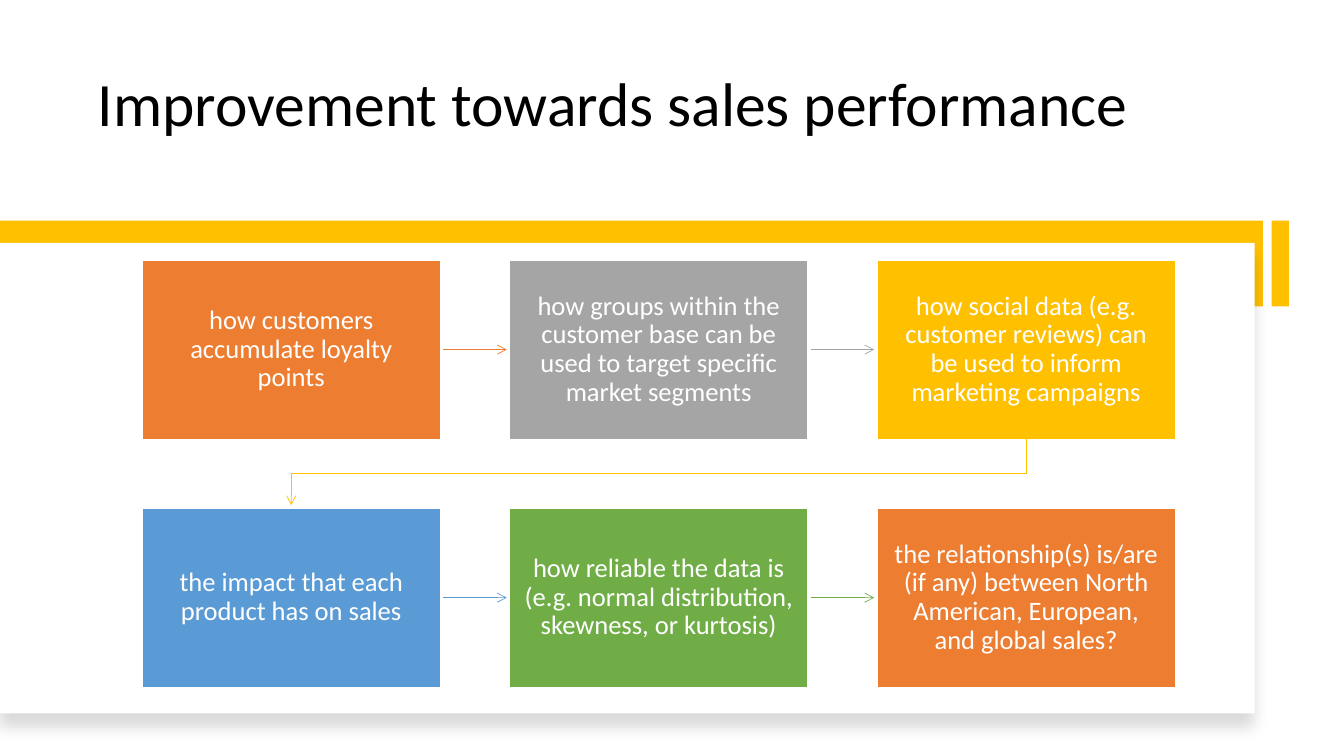
from pptx import Presentation
from pptx.util import Cm, Pt
from pptx.dml.color import RGBColor
from pptx.enum import shapes, text
from pptx.oxml import parse_xml
from pptx.oxml.ns import nsdecls

TITLE = "Improvement towards sales performance"
STEPS = [
    ("how customers accumulate loyalty points", "orange"),
    ("how groups within the customer base can be used to target specific market segments", "gray"),
    ("how social data (e.g. customer reviews) can be used to inform marketing campaigns", "gold"),
    ("the impact that each product has on sales", "blue"),
    ("how reliable the data is (e.g. normal distribution, skewness, or kurtosis)", "green"),
    ("the relationship(s) is/are (if any) between North American, European, and global sales?", "orange"),
]
COLORS = {"orange": "ED7D31", "gray": "A5A5A5", "gold": "FFC000", "blue": "5B9BD5",
          "green": "70AD47", "white": "FFFFFF", "black": "000000"}
FONT = "Calibri"
COLS = 3
LEFT, TOP = 3.58, 6.55
WIDTH, HEIGHT = 7.52, 4.52
STEP_X, STEP_Y = 9.26, 6.25
GAP = 0.07


def color(name):
    return RGBColor.from_string(COLORS[name])


def block(slide, x, y, w, h, fill):
    shape = slide.shapes.add_shape(shapes.MSO_SHAPE.RECTANGLE, Cm(x), Cm(y), Cm(w), Cm(h))
    shape.shadow.inherit = False
    shape.fill.solid()
    shape.fill.fore_color.rgb = color(fill)
    shape.line.fill.background()
    return shape


def style(para, size, name):
    para.line_spacing = 0.9
    para.font.size = Pt(size)
    para.font.name = FONT
    para.font.color.rgb = color(name)


def arrow(slide, points, name):
    """Draw a thin arrow through the points, given in centimetres."""
    pts = [(Cm(x), Cm(y)) for x, y in points]
    if len(pts) == 2:
        line = slide.shapes.add_connector(shapes.MSO_CONNECTOR.STRAIGHT, *pts[0], *pts[1])
    else:
        path = slide.shapes.build_freeform(*pts[0])
        path.add_line_segments(pts[1:], close=False)
        line = path.convert_to_shape()
        line.fill.background()
    line.line.color.rgb = color(name)
    line.line.width = Pt(0.5)
    props = line._element.spPr
    line.line._get_or_add_ln().append(parse_xml(f'<a:tailEnd {nsdecls("a")} type="arrow"/>'))
    props.append(parse_xml(f'<a:effectLst {nsdecls("a")}/>'))


def frame(slide):
    """Draw the title, the gold bars and the white panel with its shadow."""
    title = slide.shapes.title
    title.left, title.top, title.width, title.height = Cm(2.21), Cm(1.07), Cm(27.97), Cm(2.57)
    title.text_frame.text = TITLE
    title.text_frame.vertical_anchor = text.MSO_ANCHOR.BOTTOM
    para = title.text_frame.paragraphs[0]
    para.alignment = text.PP_ALIGN.LEFT
    style(para, 44, "black")

    block(slide, 0, 5.56, 31.83, 2.16, "gold")
    panel = block(slide, 0, 6.12, 31.62, 11.86, "white")
    panel._element.spPr[-1].append(parse_xml(
        f'<a:outerShdw {nsdecls("a")} blurRad="{Pt(11)}" dist="{Pt(10)}" dir="5400000" '
        'algn="t" rotWithShape="0"><a:srgbClr val="000000"><a:alpha val="15000"/>'
        '</a:srgbClr></a:outerShdw>'))
    block(slide, 32.05, 5.56, 0.43, 2.16, "gold")


def step(slide, x, y, words, name):
    box = block(slide, x, y, WIDTH, HEIGHT, name)
    box.line.color.rgb = color("white")
    box.line.width = Pt(1)
    body = box.text_frame
    body.word_wrap = True
    body.vertical_anchor = text.MSO_ANCHOR.MIDDLE
    body.margin_left = body.margin_right = body.margin_top = body.margin_bottom = Cm(0.38)
    body.text = words
    para = body.paragraphs[0]
    para.alignment = text.PP_ALIGN.CENTER
    style(para, 19, "white")


def main():
    deck = Presentation()
    deck.slide_width, deck.slide_height = Cm(33.87), Cm(19.05)
    slide = deck.slides.add_slide(deck.slide_layouts[5])
    frame(slide)

    for i, (words, name) in enumerate(STEPS):
        row, col = divmod(i, COLS)
        x, y = LEFT + col * STEP_X, TOP + row * STEP_Y
        step(slide, x, y, words, name)
        if i == len(STEPS) - 1:
            break
        if col < COLS - 1:
            mid = y + HEIGHT / 2
            points = [(x + WIDTH + GAP, mid), (x + STEP_X - GAP, mid)]
        else:
            start, end = x + WIDTH / 2, LEFT + WIDTH / 2
            low, high = y + HEIGHT, y + STEP_Y
            turn = (low + high) / 2
            points = [(start, low), (start, turn), (end, turn), (end, high - GAP)]
        arrow(slide, points, name)

    deck.save("out.pptx")


if __name__ == "__main__":
    main()
